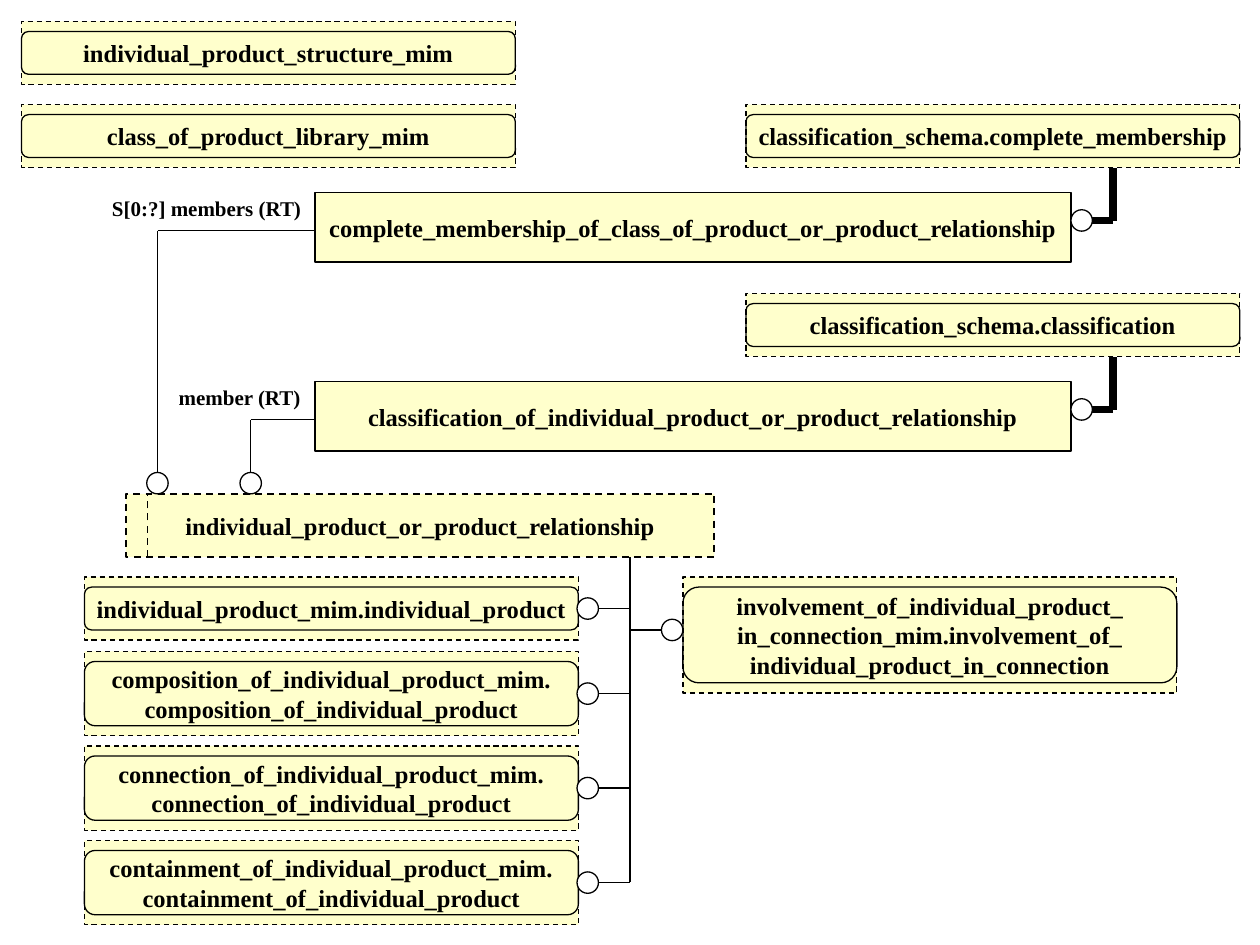
from dataclasses import dataclass

from lxml.etree import SubElement
from pptx import Presentation
from pptx.dml.color import RGBColor
from pptx.enum.dml import MSO_LINE
from pptx.enum.shapes import MSO_CONNECTOR, MSO_SHAPE
from pptx.enum.text import MSO_ANCHOR, MSO_AUTO_SIZE, PP_ALIGN
from pptx.oxml.ns import qn
from pptx.util import Inches, Pt


@dataclass(frozen=True)
class Theme:
    font: str = "Times New Roman"
    ink: RGBColor = RGBColor(0, 0, 0)
    entity: RGBColor = RGBColor(0xFF, 0xFF, 0xCC)
    circle: RGBColor = RGBColor(0xFF, 0xFF, 0xFF)
    name_size: float = 14
    label_size: float = 12
    thin: float = 0.75
    medium: float = 1
    thick: float = 4.5


THEME = Theme()
DIAMETER = 0.17
RADIUS = DIAMETER / 2
REFERENCE_WIDTH = 3.92
REFERENCE_INSET = 0.08
TRUNK_X = 5


def style_line(line, weight, dashed=False):
    line.color.rgb = THEME.ink
    line.width = Pt(weight)
    if dashed:
        line.dash_style = MSO_LINE.DASH


def write(box, lines, size, align):
    frame = box.text_frame
    frame.word_wrap = False
    for index, text in enumerate(lines):
        para = frame.paragraphs[0] if index == 0 else frame.add_paragraph()
        para.alignment = align
        span = para.add_run()
        span.text = text
        span.font.name = THEME.font
        span.font.size = Pt(size)
        span.font.bold = True
        span.font.color.rgb = THEME.ink


def add_outline(shapes, kind, left, top, width, height, fill=None,
                weight=THEME.thin, dashed=False):
    box = shapes.add_shape(kind, Inches(left), Inches(top), Inches(width), Inches(height))
    box.shadow.inherit = False
    if fill is None:
        box.fill.background()
    else:
        box.fill.solid()
        box.fill.fore_color.rgb = fill
    style_line(box.line, weight, dashed)
    return box


def add_entity(shapes, left, top, width, height, lines, weight=THEME.thin, dashed=False):
    box = add_outline(shapes, MSO_SHAPE.RECTANGLE, left, top, width, height,
                      THEME.entity, weight, dashed)
    box.text_frame.vertical_anchor = MSO_ANCHOR.MIDDLE
    write(box, lines, THEME.name_size, PP_ALIGN.CENTER)


def add_reference(page, left, top, height, *lines):
    group = page.shapes.add_group_shape()
    add_entity(group.shapes, left, top, REFERENCE_WIDTH, height, lines, dashed=True)
    add_outline(group.shapes, MSO_SHAPE.ROUNDED_RECTANGLE, left, top + REFERENCE_INSET,
                REFERENCE_WIDTH, height - 2 * REFERENCE_INSET)


def add_line(page, start, end, weight=THEME.thin, dashed=False):
    line = page.shapes.add_connector(MSO_CONNECTOR.STRAIGHT, *map(Inches, start + end))
    style_line(line.line, weight, dashed)
    SubElement(line._element.spPr, qn("a:effectLst"))


def add_circle(page, x, y):
    add_outline(page.shapes, MSO_SHAPE.OVAL, x - RADIUS, y - RADIUS,
                DIAMETER, DIAMETER, THEME.circle)


def add_label(page, left, top, width, text):
    box = page.shapes.add_textbox(Inches(left), Inches(top), Inches(width), Inches(0.3))
    write(box, [text], THEME.label_size, PP_ALIGN.LEFT)
    box.text_frame.auto_size = MSO_AUTO_SIZE.SHAPE_TO_FIT_TEXT


def add_attribute(page, x, y, entity_left):
    circle_y = 3.92 - RADIUS
    add_line(page, (x, y), (entity_left, y))
    add_line(page, (x, circle_y - RADIUS), (x, y))
    add_circle(page, x, circle_y)


def add_subtype(page, top, supertype, name):
    add_reference(page, 5.92, top - 0.7, 0.5, supertype)
    add_entity(page.shapes, 2.5, top, 6, 0.55, [name])
    circle_y = top + 0.22
    add_line(page, (8.83, circle_y), (8.83, top - 0.2), THEME.thick)
    add_line(page, (8.5 + DIAMETER, circle_y), (8.83, circle_y), THEME.thick)
    add_circle(page, 8.5 + RADIUS, circle_y)


def add_select(page):
    add_entity(page.shapes, 1, 3.92, 4.67, 0.5,
               ["individual_product_or_product_relationship"], THEME.medium, True)
    add_line(page, (1.17, 4.42), (1.17, 3.92), THEME.medium, True)


def add_select_members(page):
    members = [
        (4.58, 0.5, ["individual_product_mim.individual_product"]),
        *[(5.17 + 0.75 * row, 0.67,
           [f"{name}_of_individual_product_mim.", f"{name}_of_individual_product"])
          for row, name in enumerate(["composition", "connection", "containment"])],
    ]
    for top, height, lines in members:
        middle = top + height / 2
        add_reference(page, 0.67, top, height, *lines)
        add_line(page, (4.58 + DIAMETER, middle), (TRUNK_X, middle))
        add_circle(page, 4.58 + RADIUS, middle)
    add_line(page, (TRUNK_X, 7), (TRUNK_X, 4.42))

    add_reference(page, 5.42, 4.58, 0.92, "involvement_of_individual_product_",
                  "in_connection_mim.involvement_of_", "individual_product_in_connection")
    add_line(page, (TRUNK_X, 5), (5.25, 5))
    add_circle(page, 5.25 + RADIUS, 5)


def main():
    deck = Presentation()
    deck.slide_width, deck.slide_height = Inches(10), Inches(7.5)
    page = deck.slides.add_slide(deck.slide_layouts[6])

    add_reference(page, 0.17, 0.17, 0.5, "individual_product_structure_mim")
    add_reference(page, 0.17, 0.83, 0.5, "class_of_product_library_mim")
    add_subtype(page, 1.53, "classification_schema.complete_membership",
                "complete_membership_of_class_of_product_or_product_relationship")
    add_subtype(page, 3.03, "classification_schema.classification",
                "classification_of_individual_product_or_product_relationship")
    add_select(page)
    add_attribute(page, 1.25, 1.83, 2.5)
    add_attribute(page, 1.99, 3.33, 2.5)
    add_label(page, 0.79, 1.5, 1.71, "S[0:?] members (RT)")
    add_label(page, 1.32, 3, 1.17, "member (RT)")
    add_select_members(page)

    deck.save("out.pptx")


if __name__ == "__main__":
    main()
